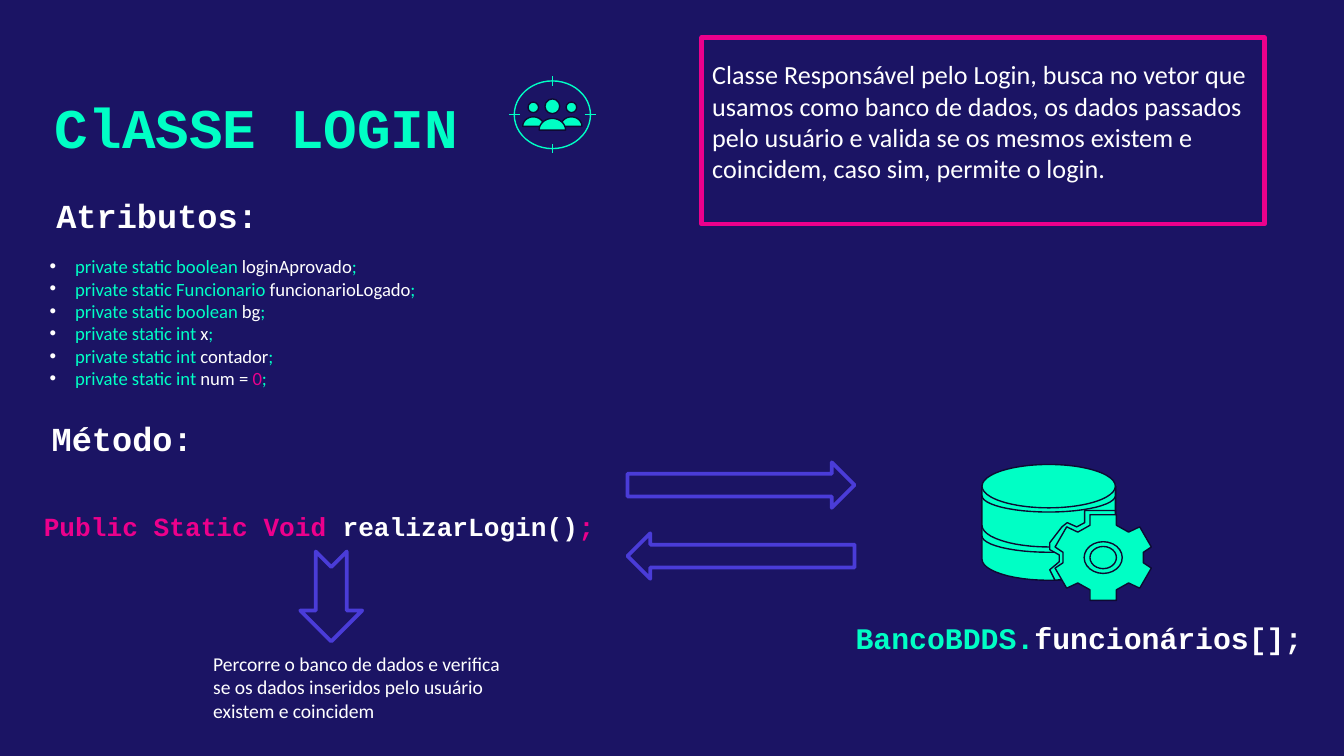
from math import cos, pi, sin

from lxml.etree import SubElement
from pptx import Presentation
from pptx.dml.color import RGBColor
from pptx.enum.shapes import MSO_CONNECTOR, MSO_SHAPE
from pptx.enum.text import MSO_ANCHOR, PP_ALIGN
from pptx.oxml.ns import qn
from pptx.util import Cm, Pt

NAVY, MINT, PINK = "1B1464", "00FFC5", "EC008C"
WHITE, VIOLET, INK = "FFFFFF", "4A3CD8", "0E0A32"
MONO, SANS = "Courier New", "Calibri"

# Positions and lengths are in centimetres: left, top, width, height
HEADINGS = [
    ((-4.32, 1.5, 18.34, 2.49), 30, MSO_ANCHOR.TOP, [("ClASSE LOGIN", MINT)]),
    ((0.25, 3.23, 5.44, 1.47), 18, MSO_ANCHOR.BOTTOM, [("Atributos:", WHITE)]),
    ((-0.41, 7.44, 5.44, 1.47), 18, MSO_ANCHOR.BOTTOM, [("Método:", WHITE)]),
    ((-0.64, 9.4, 13.34, 1.12), 14, MSO_ANCHOR.TOP,
     [("Public Static Void ", PINK), ("realizarLogin()", WHITE), (";", PINK)]),
    ((15.62, 11.46, 9.55, 1.12), 16, MSO_ANCHOR.TOP,
     [("BancoBDDS.", MINT), ("funcionários[];", WHITE)]),
]
NOTES = [
    ((13.21, 0.86, 10.67, 4.11), 14,
     "Classe Responsável pelo Login, busca no vetor que usamos como banco de dados, "
     "os dados passados pelo usuário e valida se os mesmos existem e coincidem, "
     "caso sim, permite o login."),
    ((3.78, 12.07, 6.27, 2.41), 10.5,
     "Percorre o banco de dados e verifica se os dados inseridos pelo usuário "
     "existem e coincidem"),
]
ATTRIBUTES_BOX = (0.69, 4.57, 11.76, 3.18)
ATTRIBUTES = [
    ("private static boolean ", "loginAprovado", ""),
    ("private static Funcionario ", "funcionarioLogado", ""),
    ("private static boolean ", "bg", ""),
    ("private static int ", "x", ""),
    ("private static int ", "contador", ""),
    ("private static int", " num = ", "0"),
]
NOTE_FRAME = (13.26, 0.71, 10.64, 3.53)
ARROWS = [
    (MSO_SHAPE.RIGHT_ARROW, (11.86, 8.74, 4.29, 0.86), 0),
    (MSO_SHAPE.RIGHT_ARROW, (11.86, 10.08, 4.29, 0.86), 180),
    (MSO_SHAPE.NOTCHED_RIGHT_ARROW, (5.41, 10.69, 1.7, 1.17), 90),
]

TARGET = (10.44, 2.17)
# Offset from the target, head centre and radius, shoulder base, half width, height
PEOPLE = [
    (-0.36, 2.03, 0.1, 2.39, 0.2, 0.18),
    (0.36, 2.03, 0.1, 2.39, 0.2, 0.18),
    (0, 2.01, 0.14, 2.46, 0.25, 0.22),
]
CYLINDER_X, CYLINDER_TOP, CYLINDER_RX = 19.82, 9.19, 1.26
LAYERS = [(10.57, 0.4), (10.13, 0.31), (9.93, 0.41), (9.37, 0.31)]  # bottom, depth
GEAR = (20.85, 10.54)
GEAR_QUARTER = [(0.25, 0.81), (0.25, 0.61), (0.48, 0.48),
                (0.69, 0.58), (0.91, 0.2), (0.76, 0.1)]
GEAR_RECESS = [
    (21.08, 9.65), (20.5, 9.65), (20.5, 9.88), (20.35, 9.96), (20.17, 9.88),
    (20.07, 9.96), (19.84, 10.26), (19.84, 10.39), (20.02, 10.49), (20.02, 10.62),
    (19.84, 10.77), (19.94, 10.97), (20.32, 10.92), (21.08, 10.57),
]


def rgb(color):
    return RGBColor.from_string(color)


def paint(s, fill, line, width):
    s.shadow.inherit = False
    if fill:
        s.fill.solid()
        s.fill.fore_color.rgb = rgb(fill)
    else:
        s.fill.background()
    s.line.color.rgb = rgb(line)
    s.line.width = Pt(width)


def add_preset(kind, box, fill=MINT, line=INK, width=0.75):
    s = slide.shapes.add_shape(kind, *map(Cm, box))
    paint(s, fill, line, width)
    return s


def add_ellipse(x, y, rx, ry, **style):
    add_preset(MSO_SHAPE.OVAL, (x - rx, y - ry, 2 * rx, 2 * ry), **style)


def add_outline(points):
    first, *rest = [(Cm(x), Cm(y)) for x, y in points]
    builder = slide.shapes.build_freeform(*first, scale=1.0)
    builder.add_line_segments(rest, close=True)
    paint(builder.convert_to_shape(), MINT, INK, 0.75)


def half_ellipse(x, y, rx, ry):
    """Points from right to left; a negative ry bulges upwards."""
    return [(x + rx * cos(pi * i / 24), y + ry * sin(pi * i / 24)) for i in range(25)]


def add_tick(x1, y1, x2, y2):
    c = slide.shapes.add_connector(MSO_CONNECTOR.STRAIGHT, *map(Cm, (x1, y1, x2, y2)))
    c.line.color.rgb = rgb(MINT)
    c.line.width = Pt(0.75)
    SubElement(c._element.spPr, qn("a:effectLst"))


def add_text(box, anchor=MSO_ANCHOR.TOP):
    tf = slide.shapes.add_textbox(*map(Cm, box)).text_frame
    tf.word_wrap = True
    tf.vertical_anchor = anchor
    tf.margin_left = tf.margin_right = tf.margin_top = tf.margin_bottom = Cm(0.25)
    return tf


def add_runs(p, parts, font, size, bold=False):
    for text, color in parts:
        r = p.add_run()
        r.text = text
        r.font.name, r.font.size, r.font.bold = font, Pt(size), bold
        r.font.color.rgb = rgb(color)


def add_bullet(p):
    pPr = p._p.get_or_add_pPr()
    pPr.set("marL", str(Cm(0.48)))
    pPr.set("indent", str(-Cm(0.48)))
    SubElement(SubElement(pPr, qn("a:buClr")), qn("a:srgbClr"), val=WHITE)
    SubElement(pPr, qn("a:buFont"), typeface="Arial")
    SubElement(pPr, qn("a:buChar"), char="•")


def add_people_icon():
    x, y = TARGET
    add_ellipse(x, y, 0.72, 0.64, fill=None, line=MINT)
    for side in (-1, 1):
        add_tick(x + side * 0.61, y, x + side * 0.82, y)
        add_tick(x, y + side * 0.55, x, y + side * 0.73)
    for dx, head_y, radius, base, half_width, height in PEOPLE:
        add_outline(half_ellipse(x + dx, base, half_width, -height))
        add_ellipse(x + dx, head_y, radius, radius)


def add_database_icon():
    left, right = CYLINDER_X - CYLINDER_RX, CYLINDER_X + CYLINDER_RX
    for bottom, depth in LAYERS:
        add_outline([(left, CYLINDER_TOP), (right, CYLINDER_TOP)]
                    + half_ellipse(CYLINDER_X, bottom, CYLINDER_RX, depth))
    add_ellipse(CYLINDER_X, CYLINDER_TOP, CYLINDER_RX, 0.41)
    add_outline(GEAR_RECESS)
    x, y = GEAR
    right_half = GEAR_QUARTER + [(dx, -dy) for dx, dy in reversed(GEAR_QUARTER)]
    teeth = right_half + [(-dx, dy) for dx, dy in reversed(right_half)]
    add_outline([(x + dx, y - dy) for dx, dy in teeth])
    add_ellipse(x, y, 0.36, 0.3)
    add_ellipse(x, y, 0.25, 0.21)


prs = Presentation()
prs.slide_width, prs.slide_height = Cm(25.4), Cm(14.29)
slide = prs.slides.add_slide(prs.slide_layouts[6])
slide.background.fill.solid()
slide.background.fill.fore_color.rgb = rgb(NAVY)

add_people_icon()
add_preset(MSO_SHAPE.RECTANGLE, NOTE_FRAME, NAVY, PINK, 2.25)
for kind, box, angle in ARROWS:
    add_preset(kind, box, NAVY, VIOLET, 2).rotation = angle
add_database_icon()

for box, size, anchor, parts in HEADINGS:
    p = add_text(box, anchor).paragraphs[0]
    p.alignment = PP_ALIGN.CENTER
    add_runs(p, parts, MONO, size, bold=True)
for box, size, text in NOTES:
    add_runs(add_text(box).paragraphs[0], [(text, WHITE)], SANS, size)

tf = add_text(ATTRIBUTES_BOX)
for i, (declaration, name, value) in enumerate(ATTRIBUTES):
    p = tf.add_paragraph() if i else tf.paragraphs[0]
    add_bullet(p)
    parts = [(declaration, MINT), (name, WHITE), (value, PINK), (";", MINT)]
    add_runs(p, [part for part in parts if part[0]], SANS, 10)

prs.save("out.pptx")
